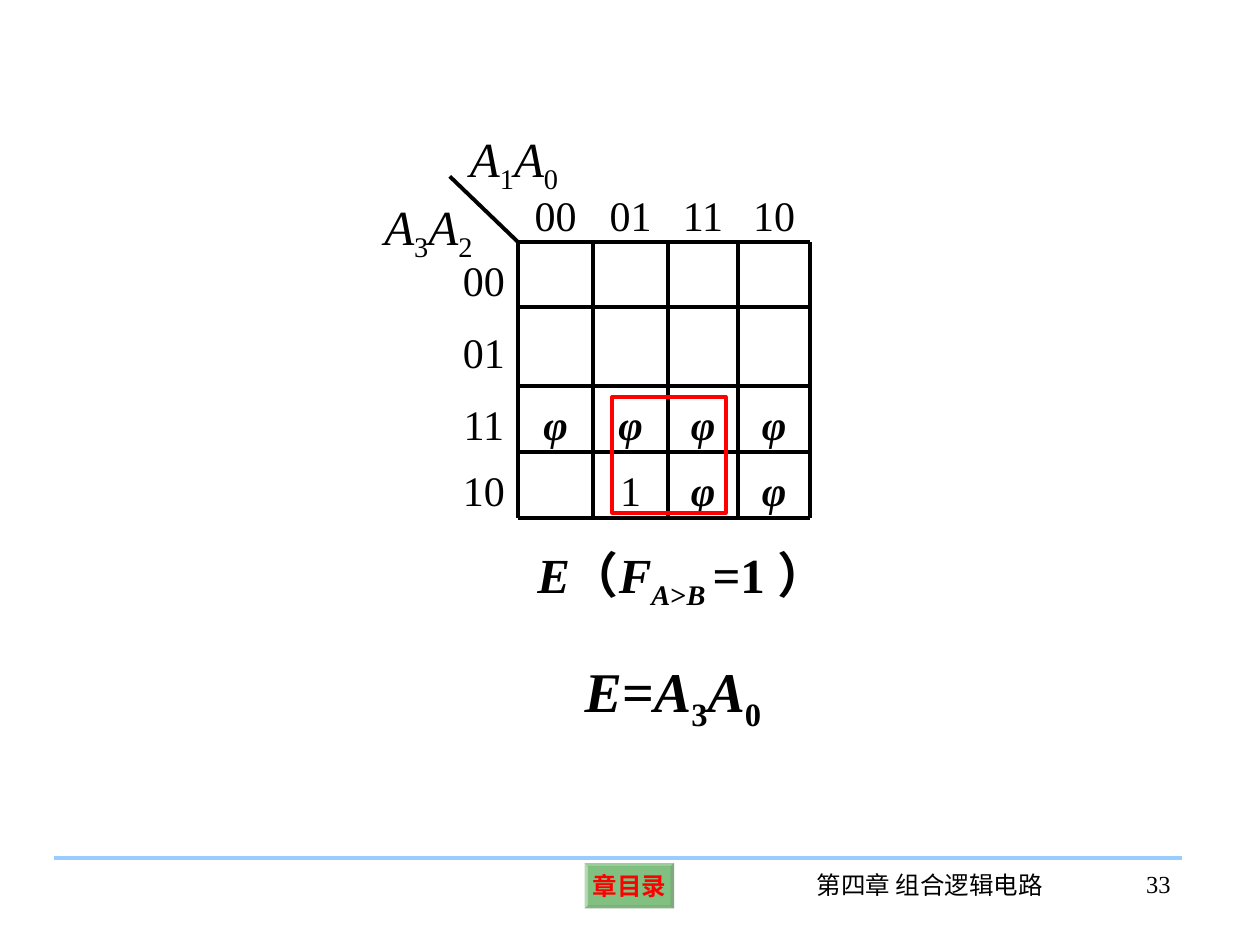
from dataclasses import dataclass

from lxml.etree import SubElement
from pptx import Presentation
from pptx.dml.color import RGBColor
from pptx.enum.shapes import MSO_CONNECTOR, MSO_SHAPE
from pptx.enum.text import MSO_ANCHOR, PP_ALIGN
from pptx.oxml.ns import qn
from pptx.util import Inches, Pt

BLACK = RGBColor(0x00, 0x00, 0x00)
RED = RGBColor(0xFF, 0x00, 0x00)
GREEN = RGBColor(0x00, 0x80, 0x00)
LIGHT_BLUE = RGBColor(0x99, 0xCC, 0xFF)
FONT = "Times New Roman"
LINE_WIDTH = Pt(2.25)

# Edges of the Karnaugh map, its label column and label row included
COLUMN_EDGES = [3.57, 4.11, 4.71, 5.3, 5.86, 6.43]
ROW_EDGES = [1.4, 1.92, 2.44, 3.06, 3.59, 4.11]
MAP_ROWS = [
    ["", "00", "01", "11", "10"],
    ["00", "", "", "", ""],
    ["01", "", "", "", ""],
    ["11", "φ", "φ", "φ", "φ"],
    ["10", "", "1", "φ", "φ"],
]


@dataclass
class Piece:
    text: str
    bold: bool = False
    italic: bool = False
    subscript: bool = False


@dataclass
class Label:
    box: tuple[float, float, float, float]
    pieces: list[Piece]
    size: float
    align: PP_ALIGN = PP_ALIGN.LEFT
    anchor: MSO_ANCHOR = MSO_ANCHOR.TOP
    margins: tuple[float, float, float, float] = (0.1, 0.05, 0.1, 0.05)
    spacing: float = 1.0
    wrap: bool = True


def fill_text(shape, label: Label, color: RGBColor = BLACK) -> None:
    frame = shape.text_frame
    frame.word_wrap = label.wrap
    frame.vertical_anchor = label.anchor
    (frame.margin_left, frame.margin_top,
     frame.margin_right, frame.margin_bottom) = map(Inches, label.margins)
    paragraph = frame.paragraphs[0]
    paragraph.alignment = label.align
    paragraph.line_spacing = label.spacing
    for piece in label.pieces:
        run = paragraph.add_run()
        run.text = piece.text
        run.font.name = FONT
        run.font.size = Pt(label.size)
        run.font.bold = piece.bold
        run.font.italic = piece.italic
        run.font.color.rgb = color
        if piece.subscript:
            run._r.get_or_add_rPr().set("baseline", "-25000")


def add_label(slide, label: Label) -> None:
    fill_text(slide.shapes.add_textbox(*map(Inches, label.box)), label)


def add_line(slide, start: tuple[float, float], end: tuple[float, float],
             color: RGBColor = BLACK) -> None:
    line = slide.shapes.add_connector(
        MSO_CONNECTOR.STRAIGHT, *map(Inches, (*start, *end)))
    line.line.color.rgb = color
    line.line.width = LINE_WIDTH
    SubElement(line._element.spPr, qn("a:effectLst"))


def variable_pair(first: str, second: str, bold: bool = False) -> list[Piece]:
    """Two italic letters A, each with an upright subscript."""
    return [piece for index in (first, second)
            for piece in (Piece("A", bold, True), Piece(index, bold, False, True))]


def add_footer(slide) -> None:
    button_label = Label((4.64, 6.85, 0.71, 0.36), [Piece("章目录", True)], 14,
                         PP_ALIGN.CENTER, MSO_ANCHOR.MIDDLE, (0.04,) * 4, wrap=False)
    button = slide.shapes.add_shape(MSO_SHAPE.BEVEL, *map(Inches, button_label.box))
    button.adjustments[0] = 0.07
    button.shadow.inherit = False
    button.fill.solid()
    button.fill.fore_color.rgb = GREEN
    color_element = button._element.spPr.find(qn("a:solidFill"))[0]
    SubElement(color_element, qn("a:alpha"), val="49000")
    button.line.fill.background()
    fill_text(button, button_label, RED)

    add_line(slide, (0.43, 6.81), (9.38, 6.81), LIGHT_BLUE)
    add_label(slide, Label((6.24, 6.86, 2.28, 0.5), [Piece("第四章 组合逻辑电路")],
                           14, PP_ALIGN.CENTER))
    add_label(slide, Label((8.53, 6.85, 0.86, 0.5), [Piece("33")], 14, PP_ALIGN.RIGHT))


def add_map(slide) -> None:
    # Labels and cell values
    for row, values in enumerate(MAP_ROWS):
        for column, value in enumerate(values):
            if not value:
                continue
            left, right = COLUMN_EDGES[column:column + 2]
            top, bottom = ROW_EDGES[row:row + 2]
            dont_care = value == "φ"
            add_label(slide, Label(
                (left, top, right - left, bottom - top),
                [Piece(value, dont_care, dont_care)], 24, PP_ALIGN.CENTER,
                MSO_ANCHOR.MIDDLE, (0.02,) * 4, 1.2))

    # Corner stroke and grid
    left, right = COLUMN_EDGES[1], COLUMN_EDGES[-1]
    top, bottom = ROW_EDGES[1], ROW_EDGES[-1]
    add_line(slide, (COLUMN_EDGES[0], ROW_EDGES[0]), (left, top))
    for x in COLUMN_EDGES[1:]:
        add_line(slide, (x, top), (x, bottom))
    for y in ROW_EDGES[1:]:
        add_line(slide, (left, y), (right, y))

    # Variable names on both sides of the corner stroke
    for box, pair in (((3.03, 1.56, 0.88, 0.53), "32"),
                      ((3.71, 1.02, 1.14, 0.53), "10")):
        add_label(slide, Label(box, variable_pair(*pair), 28,
                               margins=(0.02, 0, 0.02, 0)))

    # Group of adjacent cells
    group = slide.shapes.add_shape(
        MSO_SHAPE.RECTANGLE, *map(Inches, (4.86, 3.15, 0.9, 0.92)))
    group.shadow.inherit = False
    group.fill.background()
    group.line.color.rgb = RED
    group.line.width = LINE_WIDTH


def add_formulas(slide) -> None:
    # Wide enough to keep the last subscript on the same line
    add_label(slide, Label(
        (4.64, 4.97, 1.6, 0.85),
        [Piece("E", True, True), Piece("=", True), *variable_pair("3", "0", True)],
        32, margins=(0,) * 4, spacing=1.4))
    add_label(slide, Label(
        (4.02, 4.27, 2.78, 0.63),
        [Piece("E", True, True), Piece("（", True), Piece("F", True, True),
         Piece("A", True, True, True), Piece(">", True, False, True),
         Piece("B ", True, True, True), Piece("=1 ）", True)],
        28, PP_ALIGN.CENTER, wrap=False))


def main() -> None:
    presentation = Presentation()
    presentation.slide_width = Inches(10)
    presentation.slide_height = Inches(7.5)
    slide = presentation.slides.add_slide(presentation.slide_layouts[6])
    add_footer(slide)
    add_map(slide)
    add_formulas(slide)
    presentation.save("out.pptx")


if __name__ == "__main__":
    main()
